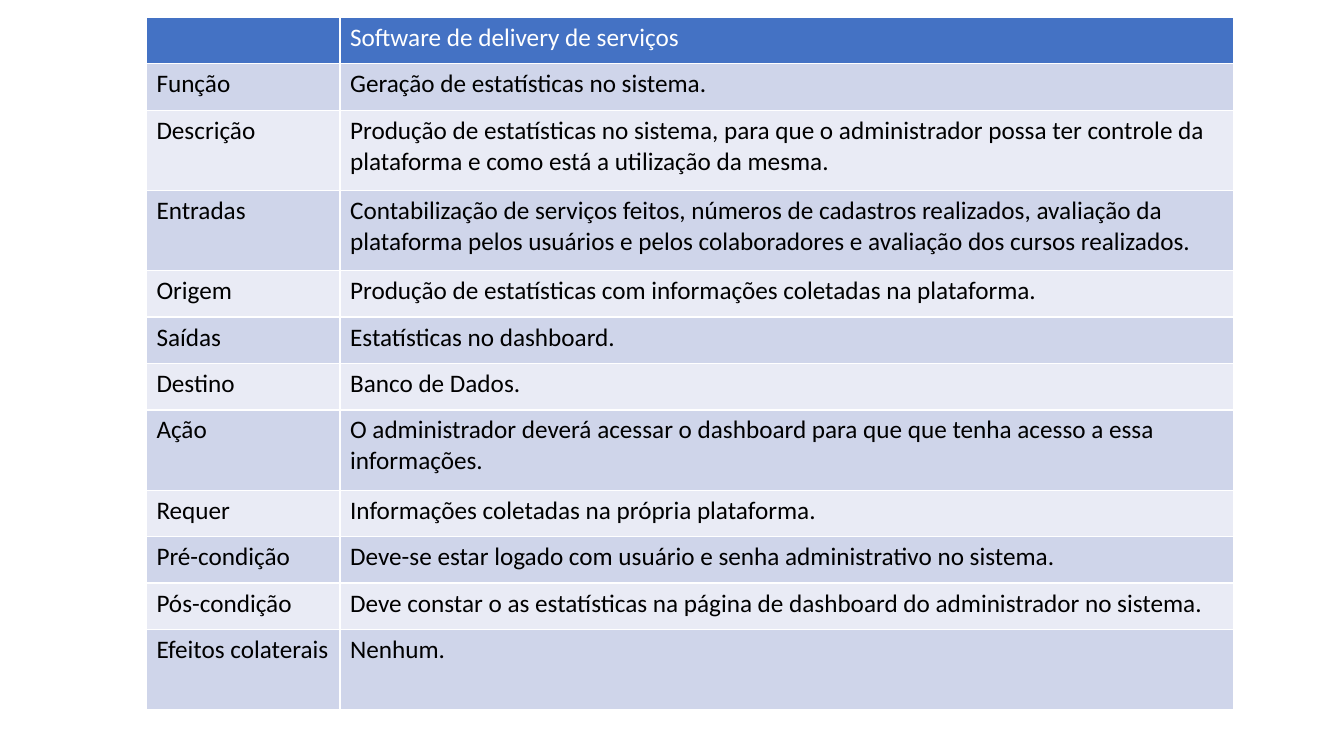
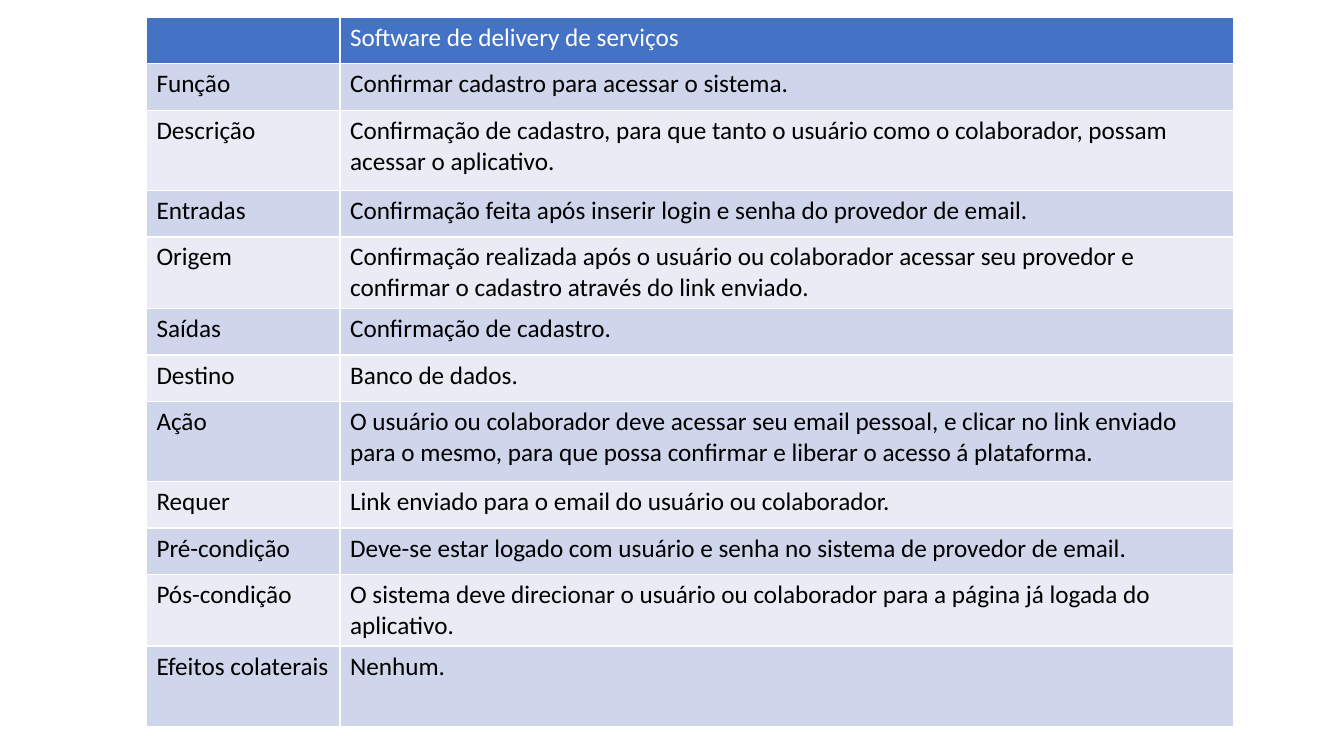
from pptx import Presentation
from pptx.dml.color import RGBColor
from pptx.util import Cm, Pt

WHITE = RGBColor(0xFF, 0xFF, 0xFF)
BLACK = RGBColor(0x00, 0x00, 0x00)
HEADER_BLUE = RGBColor(0x44, 0x72, 0xC4)
BAND_DARK = RGBColor(0xCF, 0xD5, 0xEA)
BAND_LIGHT = RGBColor(0xE9, 0xEB, 0xF5)

FONT_NAME = "Calibri"
FONT_SIZE = Pt(18)
TABLE_LEFT, TABLE_TOP = Cm(3.69), Cm(0.44)
COLUMN_WIDTHS = (Cm(4.88), Cm(22.53))
SHORT_ROW, TALL_ROW = Cm(1.17), Cm(2.02)

HEADING = "Software de delivery de serviços"
LABELS = (
    "Função", "Descrição", "Entradas", "Origem", "Saídas", "Destino",
    "Ação", "Requer", "Pré-condição", "Pós-condição", "Efeitos colaterais",
)

STATISTICS = (
    "Geração de estatísticas no sistema.",
    "Produção de estatísticas no sistema, para que o administrador possa ter "
    "controle da plataforma e como está a utilização da mesma.",
    "Contabilização de serviços feitos, números de cadastros realizados, "
    "avaliação da plataforma pelos usuários e pelos colaboradores e avaliação "
    "dos cursos realizados.",
    "Produção de estatísticas com informações coletadas na plataforma.",
    "Estatísticas no dashboard.",
    "Banco de Dados.",
    "O administrador deverá acessar o dashboard para que que tenha acesso a "
    "essa informações.",
    "Informações coletadas na própria plataforma.",
    "Deve-se estar logado com usuário e senha administrativo no sistema.",
    "Deve constar o as estatísticas na página de dashboard do administrador "
    "no sistema.",
    "Nenhum.",
)

CONFIRMATION = (
    "Confirmar cadastro para acessar o sistema.",
    "Confirmação de cadastro, para que tanto o usuário como o colaborador, "
    "possam acessar o aplicativo.",
    "Confirmação feita após inserir login e senha do provedor de email.",
    "Confirmação realizada após o usuário ou colaborador acessar seu provedor "
    "e confirmar o cadastro através do link enviado.",
    "Confirmação de cadastro.",
    "Banco de dados.",
    "O usuário ou colaborador deve acessar seu email pessoal, e clicar no link "
    "enviado para o mesmo, para que possa confirmar e liberar o acesso á "
    "plataforma.",
    "Link enviado para o email do usuário ou colaborador.",
    "Deve-se estar logado com usuário e senha no sistema de provedor de email.",
    "O sistema deve direcionar o usuário ou colaborador para a página já "
    "logada do aplicativo.",
    "Nenhum.",
)

REQUIREMENTS = (
    (STATISTICS, {"Descrição", "Entradas", "Ação", "Efeitos colaterais"}),
    (CONFIRMATION, {"Descrição", "Ação", "Efeitos colaterais"}),
)


def fill_cell(cell, text, fill_color, text_color):
    cell.fill.solid()
    cell.fill.fore_color.rgb = fill_color
    cell.text = text
    font = cell.text_frame.paragraphs[0].font
    font.name = FONT_NAME
    font.size = FONT_SIZE
    font.bold = False
    font.color.rgb = text_color


def add_requirement_table(page, left, top, descriptions, tall_labels):
    rows = [("", HEADING), *zip(LABELS, descriptions)]
    heights = [TALL_ROW if label in tall_labels else SHORT_ROW for label, _ in rows]
    table = page.shapes.add_table(
        len(rows), len(COLUMN_WIDTHS), left, top, sum(COLUMN_WIDTHS), sum(heights)
    ).table
    for column, width in zip(table.columns, COLUMN_WIDTHS):
        column.width = width
    for index, (row, height, texts) in enumerate(zip(table.rows, heights, rows)):
        row.height = height
        if index == 0:
            colors = HEADER_BLUE, WHITE
        else:
            colors = (BAND_DARK if index % 2 else BAND_LIGHT), BLACK
        for cell, text in zip(row.cells, texts):
            fill_cell(cell, text, *colors)


def main():
    deck = Presentation()
    deck.slide_width, deck.slide_height = Cm(33.87), Cm(19.05)
    for descriptions, tall_labels in REQUIREMENTS:
        page = deck.slides.add_slide(deck.slide_layouts[6])
        add_requirement_table(page, TABLE_LEFT, TABLE_TOP, descriptions, tall_labels)
    deck.save("out.pptx")


if __name__ == "__main__":
    main()
